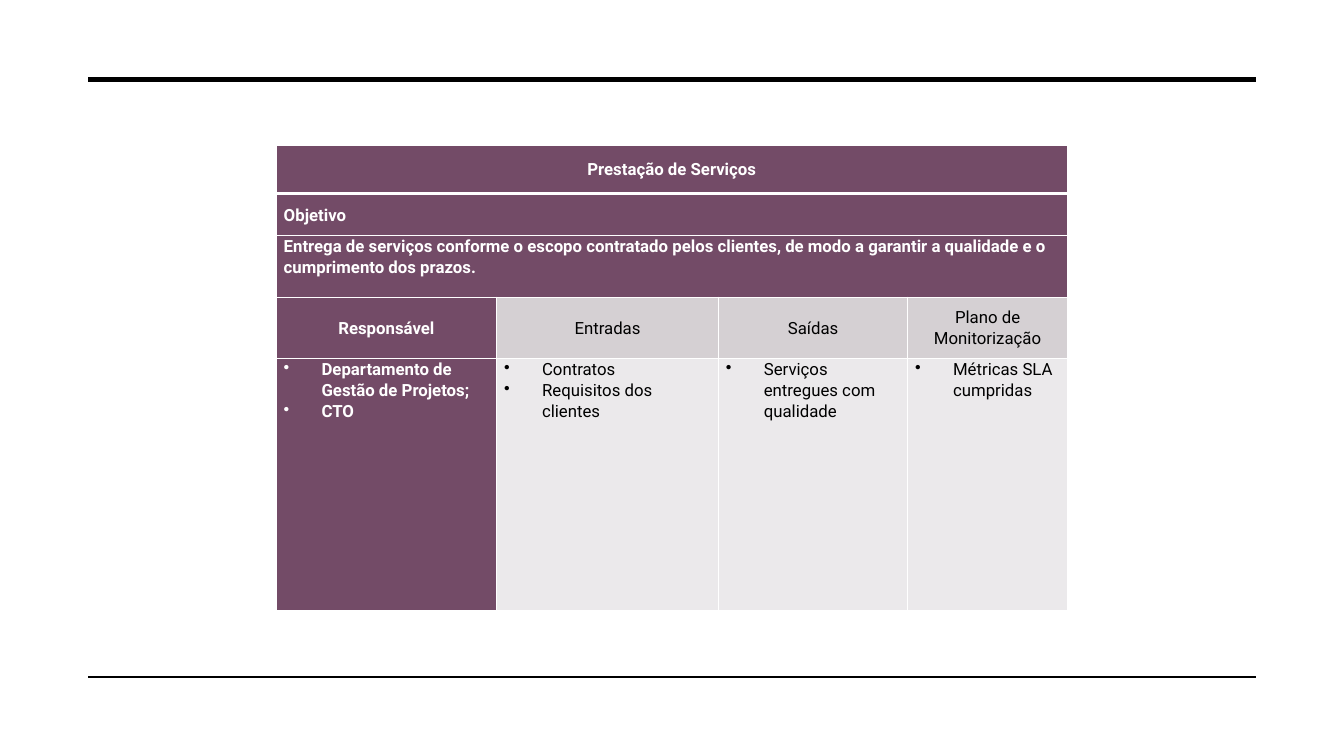
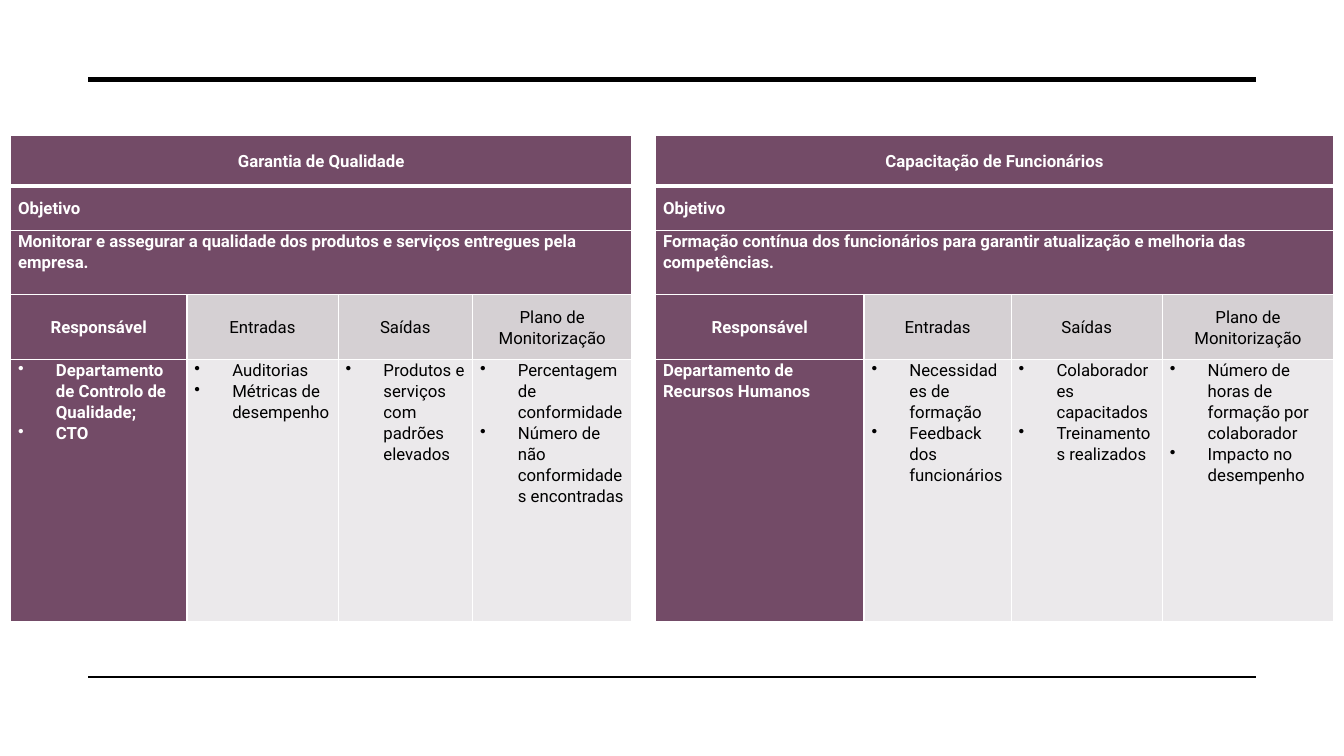
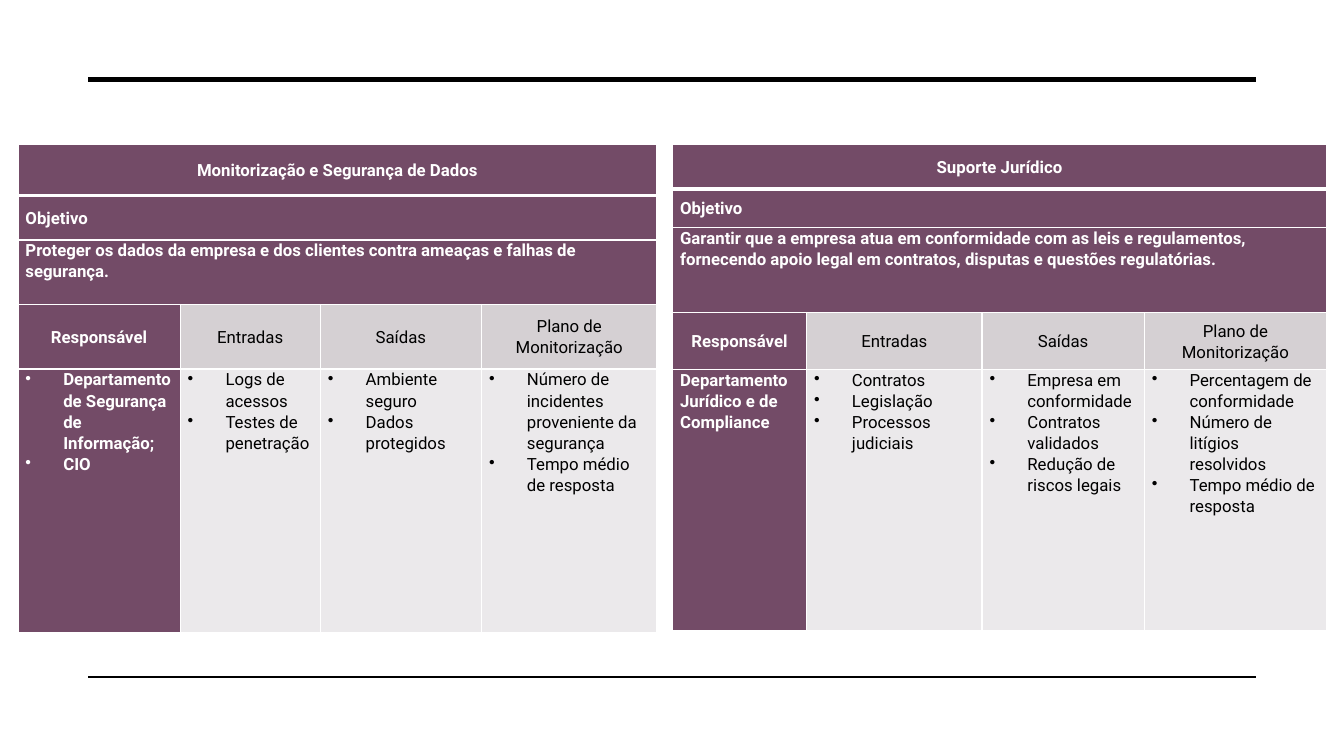
from lxml.etree import SubElement
from pptx import Presentation
from pptx.dml.color import RGBColor
from pptx.enum.shapes import MSO_CONNECTOR
from pptx.enum.text import MSO_ANCHOR, PP_ALIGN
from pptx.oxml.ns import qn
from pptx.util import Pt

FONT = "Roboto"
PLUM, MAUVE, PALE = "734B67", "D5D0D3", "EBE9EB"
WHITE, BLACK = "FFFFFF", "000000"
HEADINGS = ["Responsável", "Entradas", "Saídas", "Plano de Monitorização"]

SERVICES = {
    "title": "Prestação de Serviços",
    "goal": "Entrega de serviços conforme o escopo contratado pelos clientes, "
            "de modo a garantir a qualidade e o cumprimento dos prazos.",
    "details": [
        ["Departamento de Gestão de Projetos;", "CTO"],
        ["Contratos", "Requisitos dos clientes"],
        ["Serviços entregues com qualidade"],
        ["Métricas SLA cumpridas"],
    ],
    "at": (197.3, 103.7),
    "cols": [157.5, 158.4, 135.2, 114.2],
    "rows": [34.6, 30.2, 43.9, 43.9, 180],
}
QUALITY = {
    "title": "Garantia de Qualidade",
    "goal": "Monitorar e assegurar a qualidade dos produtos e serviços "
            "entregues pela empresa.",
    "details": [
        ["Departamento de Controlo de Qualidade;", "CTO"],
        ["Auditorias", "Métricas de desempenho"],
        ["Produtos e serviços com padrões elevados"],
        ["Percentagem de conformidade",
         "Número de não conformidades encontradas"],
    ],
    "at": (7.5, 96.8),
    "cols": [126, 108, 96, 114],
    "rows": [36, 31.7, 46.1, 46.1, 187.2],
}
TRAINING = {
    "title": "Capacitação de Funcionários",
    "goal": "Formação contínua dos funcionários para garantir atualização e "
            "melhoria das competências.",
    "details": [
        "Departamento de Recursos Humanos",
        ["Necessidades de formação", "Feedback dos funcionários"],
        ["Colaboradores capacitados", "Treinamentos realizados"],
        ["Número de horas de formação por colaborador",
         "Impacto no desempenho"],
    ],
    "at": (468.2, 96.8),
    "cols": [149, 105.1, 108, 122.4],
    "rows": [36, 31.7, 46.1, 46.1, 187.2],
}
SECURITY = {
    "title": "Monitorização e Segurança de Dados",
    "goal": "Proteger os dados da empresa e dos clientes contra ameaças e "
            "falhas de segurança.",
    "details": [
        ["Departamento de Segurança de Informação;", "CIO"],
        ["Logs de acessos", "Testes de penetração"],
        ["Ambiente seguro", "Dados protegidos"],
        ["Número de incidentes proveniente da segurança",
         "Tempo médio de resposta"],
    ],
    "at": (12.8, 103.2),
    "cols": [115.9, 100.1, 115.2, 125.3],
    "rows": [36.5, 31.7, 46.1, 46.1, 188],
}
LEGAL = {
    "title": "Suporte Jurídico",
    "goal": "Garantir que a empresa atua em conformidade com as leis e "
            "regulamentos, fornecendo apoio legal em contratos, disputas e "
            "questões regulatórias.",
    "details": [
        "Departamento Jurídico e de Compliance",
        ["Contratos", "Legislação", "Processos judiciais"],
        ["Empresa em conformidade", "Contratos validados",
         "Redução de riscos legais"],
        ["Percentagem de conformidade", "Número de litígios resolvidos",
         "Tempo médio de resposta"],
    ],
    "at": (480.4, 103.2),
    "cols": [95.8, 125.3, 115.9, 130.3],
    "rows": [31.7, 27.4, 61.2, 40.3, 187],
}
SLIDES = [[SERVICES], [TRAINING, QUALITY], [SECURITY, LEGAL]]


def rgb(value):
    """Turn a hex string into a colour."""
    return RGBColor.from_string(value)


def add_rule(s, y, weight):
    """Draw a horizontal black rule and return it."""
    rule = s.shapes.add_connector(MSO_CONNECTOR.STRAIGHT, Pt(63), Pt(y), Pt(897), Pt(y))
    rule.line.color.rgb = rgb(BLACK)
    rule.line.width = Pt(weight)
    SubElement(rule.element.spPr, qn("a:effectLst"))
    return rule


def frame_layout(layout, s):
    """Give the layout its two rules in place of its placeholders."""
    tree = layout.shapes.element
    for holder in list(layout.placeholders):
        tree.remove(holder.element)
    for rule in [add_rule(s, 56.7, 3.5), add_rule(s, 483.7, 1)]:
        tree.append(rule.element)


def set_borders(cell, top, bottom):
    """Draw white borders, with the given top and bottom widths."""
    tc_pr = cell._tc.get_or_add_tcPr()
    for side, width in zip("LRTB", (1, 1, top, bottom)):
        ln = SubElement(tc_pr, qn(f"a:ln{side}"), w=str(Pt(width)))
        fill = SubElement(ln, qn("a:solidFill"))
        SubElement(fill, qn("a:srgbClr"), val=WHITE)


def add_bullet(p):
    """Give the paragraph a hanging bullet."""
    p_pr = p._p.get_or_add_pPr()
    p_pr.set("marL", str(Pt(27)))
    p_pr.set("indent", str(-Pt(27)))
    SubElement(p_pr, qn("a:buChar"), char="•")


def fill_cell(cell, content, fill, middle=False, centred=False):
    """Write a text, or a list as bullets, on a filled cell."""
    cell.fill.solid()
    cell.fill.fore_color.rgb = rgb(fill)
    cell.margin_left = cell.margin_right = Pt(5.4)
    cell.margin_top = cell.margin_bottom = 0
    cell.vertical_anchor = MSO_ANCHOR.MIDDLE if middle else MSO_ANCHOR.TOP
    bulleted = isinstance(content, list)
    tf = cell.text_frame
    for i, text in enumerate(content if bulleted else [content]):
        p = tf.add_paragraph() if i else tf.paragraphs[0]
        if bulleted:
            add_bullet(p)
        p.alignment = PP_ALIGN.CENTER if centred else PP_ALIGN.LEFT
        p.line_spacing = 1.07
        p.space_after = Pt(0 if bulleted else 8)
        r = p.add_run()
        r.text = text
        r.font.name = FONT
        r.font.size = Pt(12)
        r.font.bold = fill == PLUM
        r.font.color.rgb = rgb(WHITE if fill == PLUM else BLACK)


def add_process(s, process):
    """Add the table that describes one process."""
    cols, rows = process["cols"], process["rows"]
    x, y = process["at"]
    table = s.shapes.add_table(len(rows), len(cols), Pt(x), Pt(y),
                               Pt(sum(cols)), Pt(sum(rows))).table
    table.horz_banding = table.first_row = False
    for column, width in zip(table.columns, cols):
        column.width = Pt(width)
    for i, height in enumerate(rows):
        table.rows[i].height = Pt(height)
        for cell in table.rows[i].cells:
            set_borders(cell, 3 if i == 1 else 1, 3 if i == 0 else 1)
    for i in range(3):
        table.cell(i, 0).merge(table.cell(i, len(cols) - 1))
    fill_cell(table.cell(0, 0), process["title"], PLUM, middle=True, centred=True)
    fill_cell(table.cell(1, 0), "Objetivo", PLUM, middle=True)
    fill_cell(table.cell(2, 0), process["goal"], PLUM)
    for j, (heading, detail) in enumerate(zip(HEADINGS, process["details"])):
        fill_cell(table.cell(3, j), heading, MAUVE if j else PLUM, middle=True, centred=True)
        fill_cell(table.cell(4, j), detail, PALE if j else PLUM)


def main():
    """Build and save the presentation."""
    prs = Presentation()
    prs.slide_width, prs.slide_height = Pt(960), Pt(540)
    layout = prs.slide_layouts[6]
    for i, processes in enumerate(SLIDES):
        s = prs.slides.add_slide(layout)
        if i == 0:
            frame_layout(layout, s)
        for process in processes:
            add_process(s, process)
    prs.save("out.pptx")


if __name__ == "__main__":
    main()
